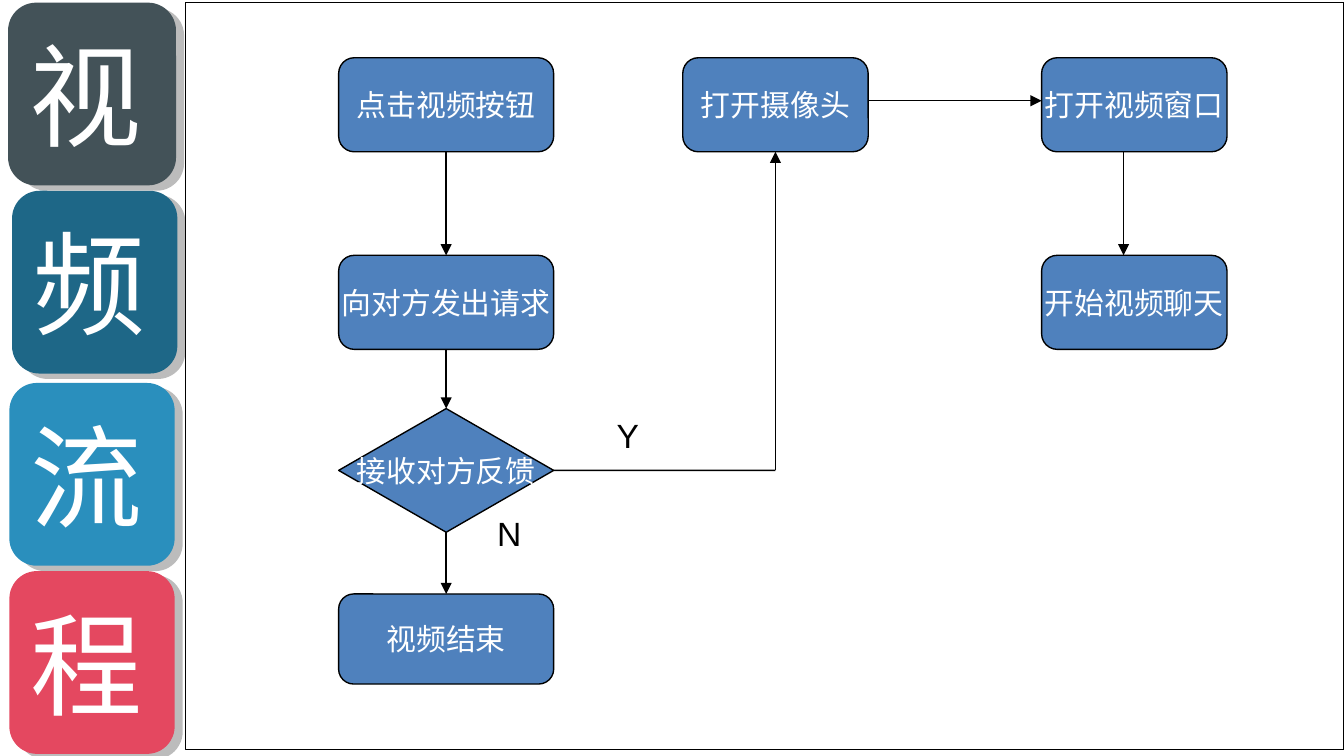
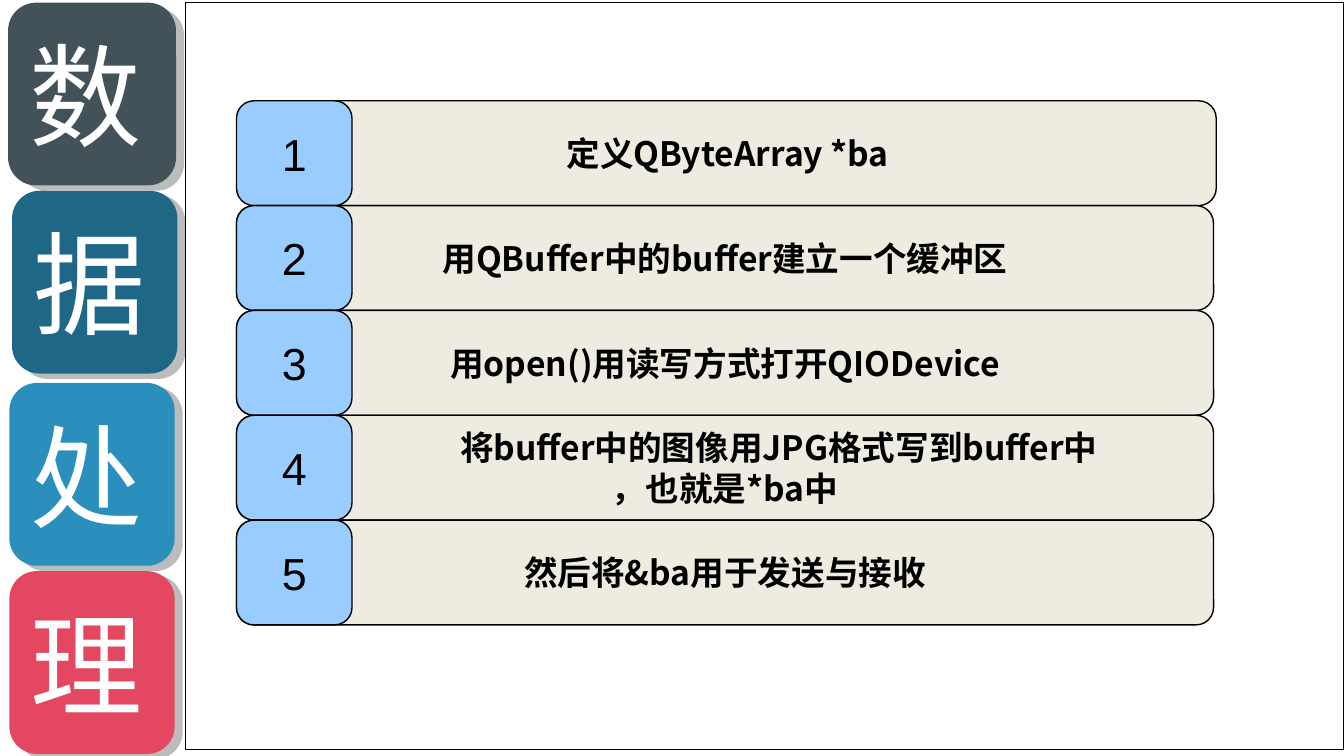
"""Build two slides: a video call flowchart and the data handling steps."""
from typing import Any, NamedTuple, Optional

import lxml.etree
import pptx
import pptx.dml.color
import pptx.enum.shapes
import pptx.enum.text
import pptx.oxml.ns
import pptx.util

COLS, ROWS = 100, 56.25
CELL = 0.1
SANS, CJK = "Arial", "Noto Sans CJK SC"
BLACK, WHITE, SHADOW = "000000", "FFFFFF", "BCBCBC"
NODE, BAR, BADGE = "4F81BD", "EEECE1", "99CCFF"
LINE_WIDTH = 0.75
PRESET = pptx.enum.shapes.MSO_SHAPE
ALIGN = pptx.enum.text.PP_ALIGN
BOTTOM, TOP, RIGHT = 2, 0, 3


class Box(NamedTuple):
    """A rectangle in grid columns and rows."""
    col: float
    row: float
    width: float
    height: float


class Tile(NamedTuple):
    """A title tile: its place, its colour and its shadow's place."""
    box: Box
    color: str
    shadow: Box


class Node(NamedTuple):
    """A step of the flowchart."""
    text: str
    box: Box
    preset: Any = PRESET.ROUNDED_RECTANGLE


class Flow(NamedTuple):
    """A line between two points, joined to named nodes where it meets them."""
    start: tuple[float, float]
    end: tuple[float, float]
    source: Optional[str] = None
    target: Optional[str] = None
    side: int = BOTTOM
    arrow: bool = True


class Label(NamedTuple):
    """A branch label of the flowchart."""
    text: str
    box: Box
    indent: float = 0


TILES = [
    Tile(Box(0.6, 0.2, 12.5, 13.6), "435258", Box(1.4, 0.6, 12.3, 13.6)),
    Tile(Box(0.9, 14.2, 12.3, 13.6), "1E6787", Box(1.5, 14.5, 12.3, 13.7)),
    Tile(Box(0.7, 28.5, 12.3, 13.6), "2A8FBD", Box(1.3, 28.8, 12.3, 13.7)),
    Tile(Box(0.7, 42.5, 12.3, 13.6), "E44860", Box(1.3, 42.8, 12.3, 13.7)),
]
PANEL = Box(13.8, 0.2, 86.2, 55.6)

LEFT, MIDDLE, FAR = 25.2, 50.8, 77.5
WIDE, NARROW, TALL = 16, 13.8, 7
FIRST, SECOND = 4.3, 19
LEFT_MID, MIDDLE_MID = LEFT + WIDE / 2, MIDDLE + NARROW / 2
NODES = {
    "click": Node("点击视频按钮", Box(LEFT, FIRST, WIDE, TALL)),
    "end": Node("视频结束", Box(LEFT, 44.2, WIDE, 6.7)),
    "camera": Node("打开摄像头", Box(MIDDLE, FIRST, NARROW, TALL)),
    "window": Node("打开视频窗口", Box(FAR, FIRST, NARROW, TALL)),
    "reply": Node("接收对方反馈", Box(LEFT, 30.4, WIDE, 9.2), PRESET.DIAMOND),
    "request": Node("向对方发出请求", Box(LEFT, SECOND, WIDE, TALL)),
    "chat": Node("开始视频聊天", Box(FAR, SECOND, NARROW, TALL)),
}
FLOWS = [
    Flow((LEFT_MID, FIRST + TALL), (LEFT_MID, SECOND), "click", "request"),
    Flow((LEFT_MID, SECOND + TALL), (LEFT_MID, 30.4), "request", "reply"),
    Flow((LEFT_MID, 39.6), (LEFT_MID, 44.2), "reply", "end"),
    Flow((MIDDLE + NARROW, 7.5), (FAR, 7.5)),
    Flow((83.6, FIRST + TALL), (83.6, SECOND)),
    Flow((MIDDLE_MID, 35), (MIDDLE_MID, FIRST + TALL), target="camera", side=BOTTOM),
    Flow((LEFT + WIDE, 35), (MIDDLE_MID, 35), "reply", side=RIGHT, arrow=False),
]
LABELS = [Label("Y", Box(44.9, 30.4, 11.8, 4)),
          Label("N", Box(33.2, 37.7, 11.8, 4), indent=2.8)]

STEPS = [
    ["定义QByteArray *ba"],
    ["用QBuffer中的buffer建立一个缓冲区"],
    ["用open()用读写方式打开QIODevice"],
    ["将buffer中的图像用JPG格式写到buffer中", "，也就是*ba中"],
    ["然后将&ba用于发送与接收"],
]
STEP_LEFT, STEP_TOP, STEP_PITCH = 17.6, 7.5, 7.8
STEP_WIDTH, BADGE_WIDTH = 72.7, 8.6
CONTINUED_INDENT = 8


def grid(n: float) -> pptx.util.Length:
    """Turn grid cells into a length."""
    return pptx.util.Inches(n * CELL)


def rgb(color: str) -> pptx.dml.color.RGBColor:
    """Turn a hex string into a colour."""
    return pptx.dml.color.RGBColor.from_string(color)


def write(tf: Any, text: str, *, size: float, font: str = SANS, color: str = BLACK,
          bold: bool = False, align: Any = ALIGN.LEFT, indent: float = 0,
          new: bool = False) -> None:
    """Write one paragraph into a text frame."""
    p = tf.add_paragraph() if new else tf.paragraphs[0]
    p.alignment = align
    if indent:
        pPr = p._p.get_or_add_pPr()
        pPr.set("marL", str(grid(indent)))
        pPr.set("indent", "0")
    r = p.add_run()
    r.text = text
    r.font.size = pptx.util.Pt(size)
    r.font.bold = bold
    r.font.color.rgb = rgb(color)
    r.font.name = font
    ea = lxml.etree.SubElement(r._r.get_or_add_rPr(), pptx.oxml.ns.qn("a:ea"))
    ea.set("typeface", font)


def add_box(s: Any, box: Box, fill: str, *, preset: Any = PRESET.ROUNDED_RECTANGLE,
            outlined: bool = True, wrap: bool = False) -> Any:
    """Draw a filled preset shape with its text centred in height."""
    sp = s.shapes.add_shape(preset, *map(grid, box))
    sp.shadow.inherit = False
    sp.fill.solid()
    sp.fill.fore_color.rgb = rgb(fill)
    if outlined:
        sp.line.color.rgb = rgb(BLACK)
        sp.line.width = pptx.util.Pt(LINE_WIDTH)
    else:
        sp.line.fill.background()
    sp.text_frame.word_wrap = wrap
    sp.text_frame.vertical_anchor = pptx.enum.text.MSO_ANCHOR.MIDDLE
    return sp


def add_flow(s: Any, flow: Flow, nodes: dict[str, Any]) -> None:
    """Draw a flow line, with an arrowhead if it has one."""
    cn = s.shapes.add_connector(pptx.enum.shapes.MSO_CONNECTOR.STRAIGHT,
                                *map(grid, flow.start + flow.end))
    cn.line.color.rgb = rgb(BLACK)
    cn.line.width = pptx.util.Pt(LINE_WIDTH)
    if flow.source:
        cn.begin_connect(nodes[flow.source], flow.side)
    if flow.target:
        cn.end_connect(nodes[flow.target], TOP if flow.source else flow.side)
    qn = pptx.oxml.ns.qn
    spPr = cn.element.spPr
    if flow.arrow:
        lxml.etree.SubElement(spPr.find(qn("a:ln")), qn("a:tailEnd")).set("type", "triangle")
    lxml.etree.SubElement(spPr, qn("a:effectLst"))


def add_base(prs: Any, title: str) -> Any:
    """Add a slide with one title character per tile and the content panel."""
    s = prs.slides.add_slide(prs.slide_layouts[6])
    for tile, char in zip(TILES, title):
        add_box(s, tile.shadow, SHADOW, outlined=False)
        sp = add_box(s, tile.box, tile.color, outlined=False, wrap=True)
        write(sp.text_frame, char, size=60, font=CJK, color=WHITE)
    add_box(s, PANEL, WHITE, preset=PRESET.RECTANGLE)
    return s


def add_flowchart(prs: Any) -> None:
    """Add the video call flowchart."""
    s = add_base(prs, "视频流程")
    nodes = {}
    for key, node in NODES.items():
        nodes[key] = sp = add_box(s, node.box, NODE, preset=node.preset)
        write(sp.text_frame, node.text, size=16, color=WHITE, align=ALIGN.CENTER)
    for flow in FLOWS:
        add_flow(s, flow, nodes)
    for label in LABELS:
        tf = s.shapes.add_textbox(*map(grid, label.box)).text_frame
        tf.word_wrap = True
        write(tf, label.text, size=18, indent=label.indent)


def add_steps(prs: Any) -> None:
    """Add the numbered data handling steps."""
    s = add_base(prs, "数据处理")
    for i, lines in enumerate(STEPS):
        row = STEP_TOP + i * STEP_PITCH
        shift = 0 if i else 0.2
        sp = add_box(s, Box(STEP_LEFT + shift, row, STEP_WIDTH, STEP_PITCH), BAR)
        for j, line in enumerate(lines):
            continued = j + 1 < len(lines)
            write(sp.text_frame, line, size=18, font=CJK, bold=True, align=ALIGN.CENTER,
                  indent=CONTINUED_INDENT if continued else 0, new=j > 0)
        sp = add_box(s, Box(STEP_LEFT, row, BADGE_WIDTH, STEP_PITCH), BADGE)
        write(sp.text_frame, str(i + 1), size=24, align=ALIGN.CENTER)


def main() -> None:
    """Build and save the presentation."""
    prs = pptx.Presentation()
    prs.slide_width, prs.slide_height = grid(COLS), grid(ROWS)
    add_flowchart(prs)
    add_steps(prs)
    prs.save("out.pptx")


if __name__ == "__main__":
    main()
